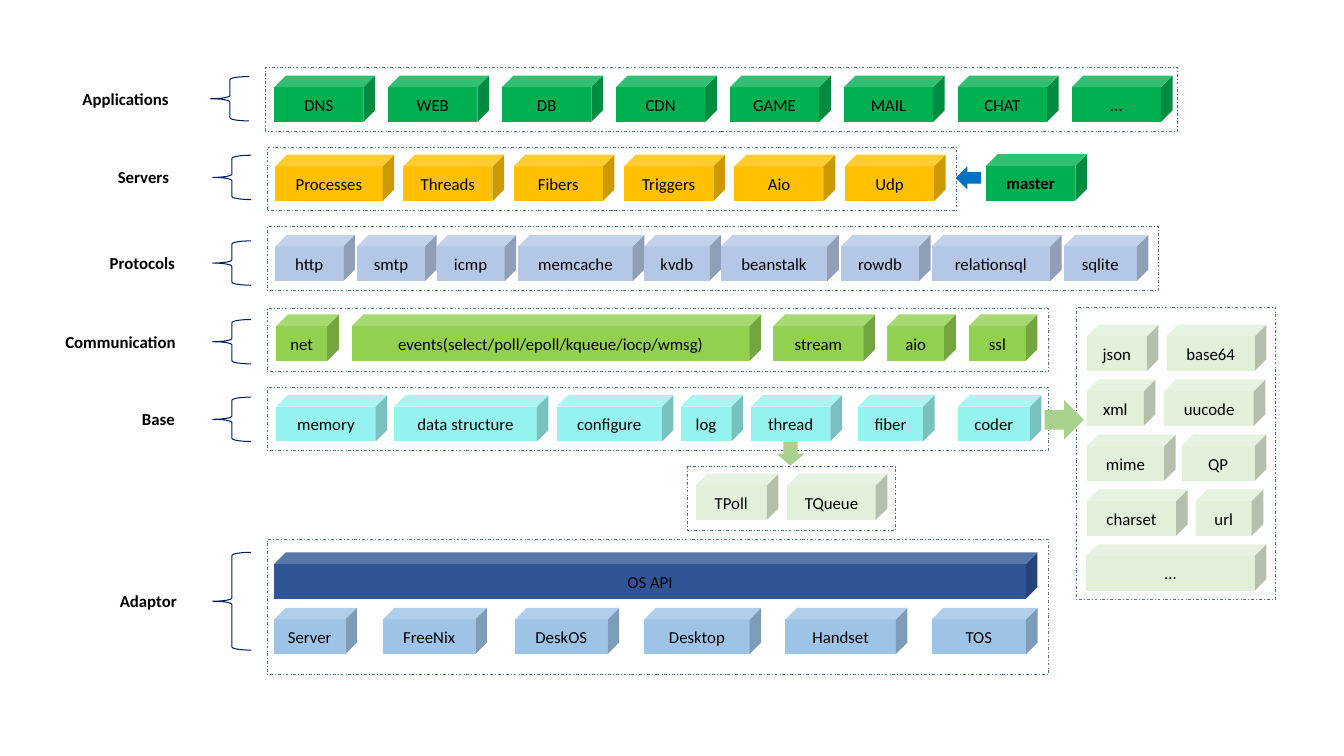
from pptx import Presentation
from pptx.dml.color import RGBColor
from pptx.enum.dml import MSO_LINE
from pptx.enum.shapes import MSO_SHAPE
from pptx.enum.text import MSO_ANCHOR, PP_ALIGN
from pptx.util import Inches, Pt

CUBE, RECT, BRACE = MSO_SHAPE.CUBE, MSO_SHAPE.RECTANGLE, MSO_SHAPE.LEFT_BRACE
LEFT, RIGHT, DOWN = MSO_SHAPE.LEFT_ARROW, MSO_SHAPE.RIGHT_ARROW, MSO_SHAPE.DOWN_ARROW
DASH = MSO_LINE.DASH_DOT
MIDDLE, CENTER = MSO_ANCHOR.MIDDLE, PP_ALIGN.CENTER

WIDE, HIGH = Inches(13.33), Inches(7.5)
COLS, ROWS = 133.3, 75
TALL = 4.6  # cube height in rows
FONT = "Calibri"
COLORS = {
    "text": "000000", "frame": "43739E", "brace": "002060",
    "app": "00B050", "server": "FFC000", "proto": "B4C7E7",
    "comm": "92D050", "base": "95F3EF", "part": "E2F0D9",
    "api": "2F5597", "system": "9DC3E6",
    "blue": "0070C0", "green": "A9D18E",
}


def color(name):
    """Look up a colour by its role."""
    return RGBColor.from_string(COLORS[name])


def place(x, y, w, h):
    """Turn grid columns and rows into slide lengths."""
    col, row = WIDE / COLS, HIGH / ROWS
    return round(x * col), round(y * row), round(w * col), round(h * row)


def write(shape, text, bold=False):
    """Add one run of text to a shape."""
    run = shape.text_frame.paragraphs[0].add_run()
    run.text = text
    run.font.name, run.font.size, run.font.bold = FONT, Pt(12), bold
    run.font.color.rgb = color("text")


def draw(slide, kind, box, fill=None, line=None, width=0.5):
    """Add a flat shape with an optional fill and line."""
    shape = slide.shapes.add_shape(kind, *place(*box))
    shape.shadow.inherit = False
    if fill:
        shape.fill.solid()
        shape.fill.fore_color.rgb = color(fill)
    else:
        shape.fill.background()
    if line:
        shape.line.color.rgb = color(line)
        shape.line.width = Pt(width)
    else:
        shape.line.fill.background()
    return shape


def cube(slide, box, text, fill, bold=False):
    """Add a cube with centred text."""
    shape = draw(slide, CUBE, box, fill)
    frame = shape.text_frame
    frame.word_wrap = True
    frame.margin_left = frame.margin_right = 0
    frame.vertical_anchor = MIDDLE
    frame.paragraphs[0].alignment = CENTER
    write(shape, text, bold)


def group(slide, box, lines):
    """Frame a box and set lines of cubes at offsets inside it."""
    left, top, _, _ = box
    for drop, fill, items in lines:
        for text, x, w in items:
            cube(slide, (left + x, top + drop, w, TALL), text, fill)
    draw(slide, RECT, box, line="frame").line.dash_style = DASH


def layer(slide, box, label, shift, drop, lines, span=4.4):
    """Build a labelled layer: name, brace and framed cubes."""
    left, top, _, _ = box
    draw(slide, BRACE, (left - 5.4, top + drop, 3.8, span),
         line="brace", width=0.75)
    mid = top + drop + span / 2
    note = slide.shapes.add_textbox(*place(left - shift, mid - 1.5, 13.4, 3))
    note.text_frame.word_wrap = True
    write(note, label, True)
    group(slide, box, lines)


def coders(slide, box):
    """Build the panel of coder parts on five even rows."""
    rows = [
        [("json", 1, 7.1), ("base64", 8.9, 9.9)],
        [("xml", 1, 6.8), ("uucode", 8.7, 10)],
        [("mime", 1, 8.8), ("QP", 10.4, 8.4)],
        [("charset", 1, 10), ("url", 11.8, 6.7)],
        [("…", 0.9, 17.9)],
    ]
    group(slide, box, [(1.7 + 5.45 * i, "part", row)
                       for i, row in enumerate(rows)])


def master(slide, box):
    """Build the master cube and its arrow to the servers."""
    left, top, wide, high = box
    draw(slide, LEFT, (left, top + 1.2, 2.5, 2.3), "blue")
    cube(slide, (left + 3, top, wide - 3, high), "master", "app", True)


def build(slide):
    """Stack the layers and their side parts."""
    apps = ["DNS", "WEB", "DB", "CDN", "GAME", "MAIL", "CHAT", "…"]
    layer(slide, (26.3, 6.7, 90.5, 6.3), "Applications", 19.1, 0.9,
          [(0.8, "app", [(name, 0.9 + 11.3 * i, 10)
                         for i, name in enumerate(apps)])])

    modes = ["Threads", "Fibers", "Triggers", "Aio", "Udp"]
    layer(slide, (26.5, 14.6, 68.4, 6.3), "Servers", 15.8, 0.8,
          [(0.75, "server", [("Processes", 0.8, 11.8)]
            + [(name, 13.5 + 10.95 * i, 10) for i, name in enumerate(modes)])])
    master(slide, (94.8, 15.3, 13, TALL))

    layer(slide, (26.5, 22.5, 88.4, 6.3), "Protocols", 16.6, 1.4,
          [(0.8, "proto", [
              ("http", 0.8, 7.9), ("smtp", 8.9, 7.9), ("icmp", 16.8, 7.9),
              ("memcache", 24.9, 12.5), ("kvdb", 37.4, 7.6),
              ("beanstalk", 45, 11.7), ("rowdb", 56.9, 8.9),
              ("relationsql", 65.9, 12.9), ("sqlite", 79, 8.4)])])

    layer(slide, (26.5, 30.6, 77.5, 6.3), "Communication", 21, 1.1,
          [(0.6, "comm", [
              ("net", 0.9, 6.2),
              ("events(select/poll/epoll/kqueue/iocp/wmsg)", 8.4, 40.6),
              ("stream", 50.2, 10.1), ("aio", 61.5, 6.8),
              ("ssl", 69.6, 6.8)])])

    layer(slide, (26.5, 38.4, 77.5, 6.3), "Base", 13.4, 1,
          [(0.8, "base", [
              ("memory", 0.9, 11), ("data structure", 12.6, 15.3),
              ("configure", 28.7, 11.6), ("log", 41, 6.2),
              ("thread", 48, 9), ("fiber", 58.6, 7.6),
              ("coder", 68.5, 8.3)])])
    group(slide, (68.2, 46.3, 20.6, 6.3),
          [(0.7, "part", [("TPoll", 0.8, 8.2), ("TQueue", 9.9, 9.9)])])
    coders(slide, (106.8, 30.5, 19.7, 29))
    draw(slide, DOWN, (77, 43.8, 2.8, 2.4), "green")
    draw(slide, RIGHT, (103.6, 39.7, 3.9, 3.9), "green")

    layer(slide, (26.5, 53.5, 77.5, 13.4), "Adaptor", 15.6, 1.3,
          [(1.3, "api", [("OS API", 0.7, 75.7)]),
           (6.8, "system", [
               ("Server", 0.7, 8.2), ("FreeNix", 11.5, 10.3),
               ("DeskOS", 24.6, 10.3), ("Desktop", 37.4, 11.6),
               ("Handset", 51.4, 12.1), ("TOS", 65.9, 10.5)])], 9.7)


deck = Presentation()
deck.slide_width, deck.slide_height = WIDE, HIGH
build(deck.slides.add_slide(deck.slide_layouts[6]))
deck.save("out.pptx")
